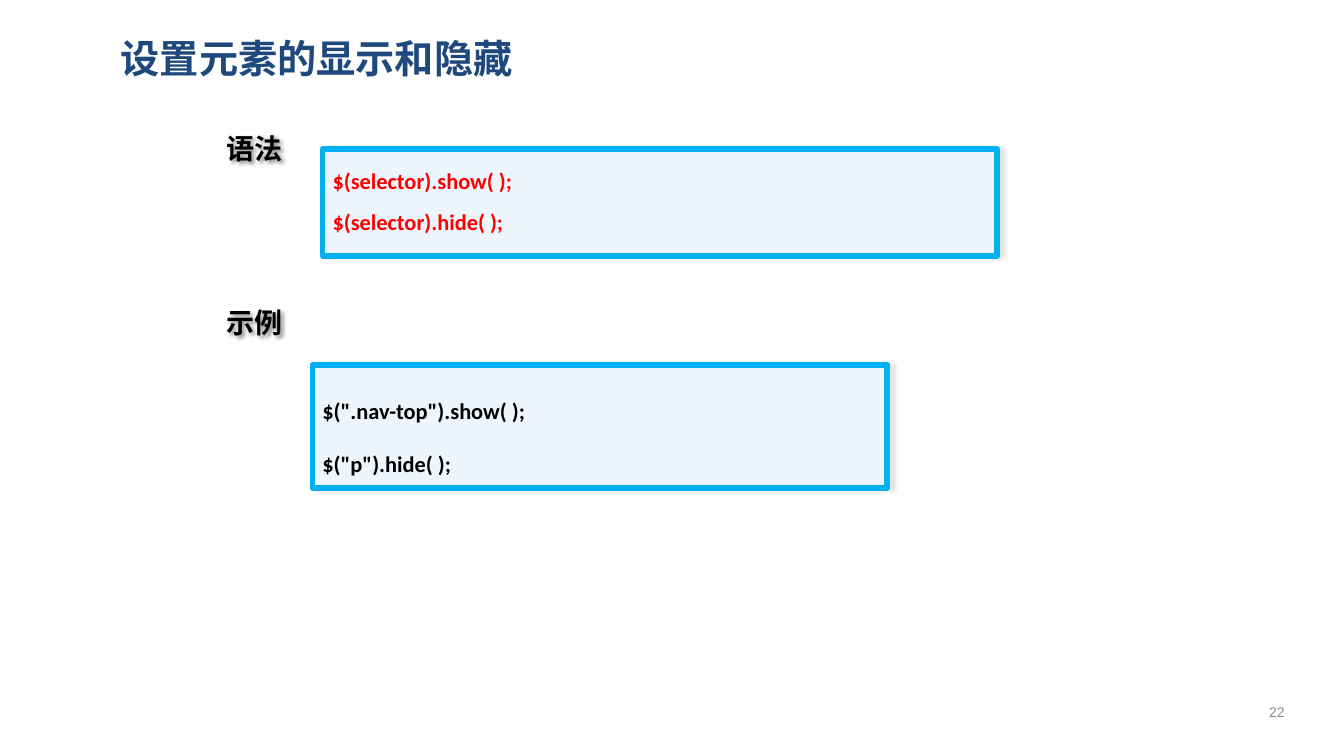
"""Build the slide about showing and hiding elements."""
from lxml.etree import SubElement
from pptx import Presentation
from pptx.dml.color import RGBColor
from pptx.enum.shapes import MSO_SHAPE
from pptx.enum.text import MSO_ANCHOR, PP_ALIGN
from pptx.oxml.ns import qn
from pptx.util import Inches, Pt

THEME = {
    "cjk": "Noto Sans CJK SC", "code": "Calibri", "number": "Arial",
    "title_size": 28, "label_size": 20, "code_size": 16, "number_size": 10,
    "title_color": "1F497D", "text_color": "000000", "syntax_color": "FF0000",
    "number_color": "8C8C8C", "box_fill": "EDF5FD", "box_line": "00B0F0",
    "box_line_width": 4, "shadow_color": "000000",
}

TITLE = ("设置元素的显示和隐藏", (1.1, 0.24, 11.65, 0.67))
PAGE_NUMBER = ("22", (12.34, 6.86, 0.65, 0.4))
LABELS = [("语法", 1.25), ("示例", 2.98)]
LABEL_LEFT, LABEL_WIDTH, LABEL_HEIGHT = 2.15, 0.77, 0.44
CODE_BOXES = [
    (["$(selector).show( );", "$(selector).hide( );"],
     (3.2, 1.48, 6.69, 1.06), 1.5, "syntax_color"),
    (['$(".nav-top").show( );', '$("p").hide( );'],
     (3.1, 3.62, 5.7, 1.22), 2.0, "text_color"),
]


def color(name):
    return RGBColor.from_string(THEME[name])


def write(shape, lines, font, size, color_name, bold=True, spacing=None,
          align=PP_ALIGN.LEFT, anchor=MSO_ANCHOR.MIDDLE, wrap=True):
    frame = shape.text_frame
    frame.text = "\n".join(lines)
    frame.word_wrap = wrap
    frame.vertical_anchor = anchor
    for paragraph in frame.paragraphs:
        paragraph.alignment = align
        paragraph.line_spacing = spacing
        for run in paragraph.runs:
            run.font.size = Pt(THEME[size])
            run.font.bold = bold
            run.font.color.rgb = color(color_name)
            run.font.name = THEME[font]
            SubElement(run.font._element, qn("a:ea"), typeface=THEME[font])


def add_text(slide, text, place, *style, **options):
    shape = slide.shapes.add_textbox(*map(Inches, place))
    write(shape, [text], *style, **options)
    return shape


def add_shadow(shape, alpha, blur, distance, degrees):
    effects = SubElement(shape._element.spPr, qn("a:effectLst"))
    shadow = SubElement(effects, qn("a:outerShdw"), blurRad=str(Pt(blur)),
                        dist=str(Pt(distance)), dir=str(degrees * 60000),
                        algn="tl", rotWithShape="0")
    tint = SubElement(shadow, qn("a:srgbClr"), val=THEME["shadow_color"])
    SubElement(tint, qn("a:alpha"), val=str(alpha * 1000))


def add_code_box(slide, lines, place, spacing, color_name):
    shape = slide.shapes.add_shape(MSO_SHAPE.ROUNDED_RECTANGLE, *map(Inches, place))
    shape.adjustments[0] = 0
    shape.fill.solid()
    shape.fill.fore_color.rgb = color("box_fill")
    shape.line.color.rgb = color("box_line")
    shape.line.width = Pt(THEME["box_line_width"])
    add_shadow(shape, 10, 3, 3, 0)
    write(shape, lines, "code", "code_size", color_name,
          spacing=spacing, anchor=MSO_ANCHOR.TOP)


def main():
    presentation = Presentation()
    presentation.slide_width = Inches(13.33)
    presentation.slide_height = Inches(7.5)
    slide = presentation.slides.add_slide(presentation.slide_layouts[6])
    add_text(slide, *TITLE, "cjk", "title_size", "title_color")
    for text, top in LABELS:
        place = (LABEL_LEFT, top, LABEL_WIDTH, LABEL_HEIGHT)
        label = add_text(slide, text, place, "cjk", "label_size", "text_color", wrap=False)
        add_shadow(label, 45, 3, 2, 45)
    for box in CODE_BOXES:
        add_code_box(slide, *box)
    add_text(slide, *PAGE_NUMBER, "number", "number_size", "number_color",
             bold=False, align=PP_ALIGN.CENTER)
    presentation.save("out.pptx")


if __name__ == "__main__":
    main()
